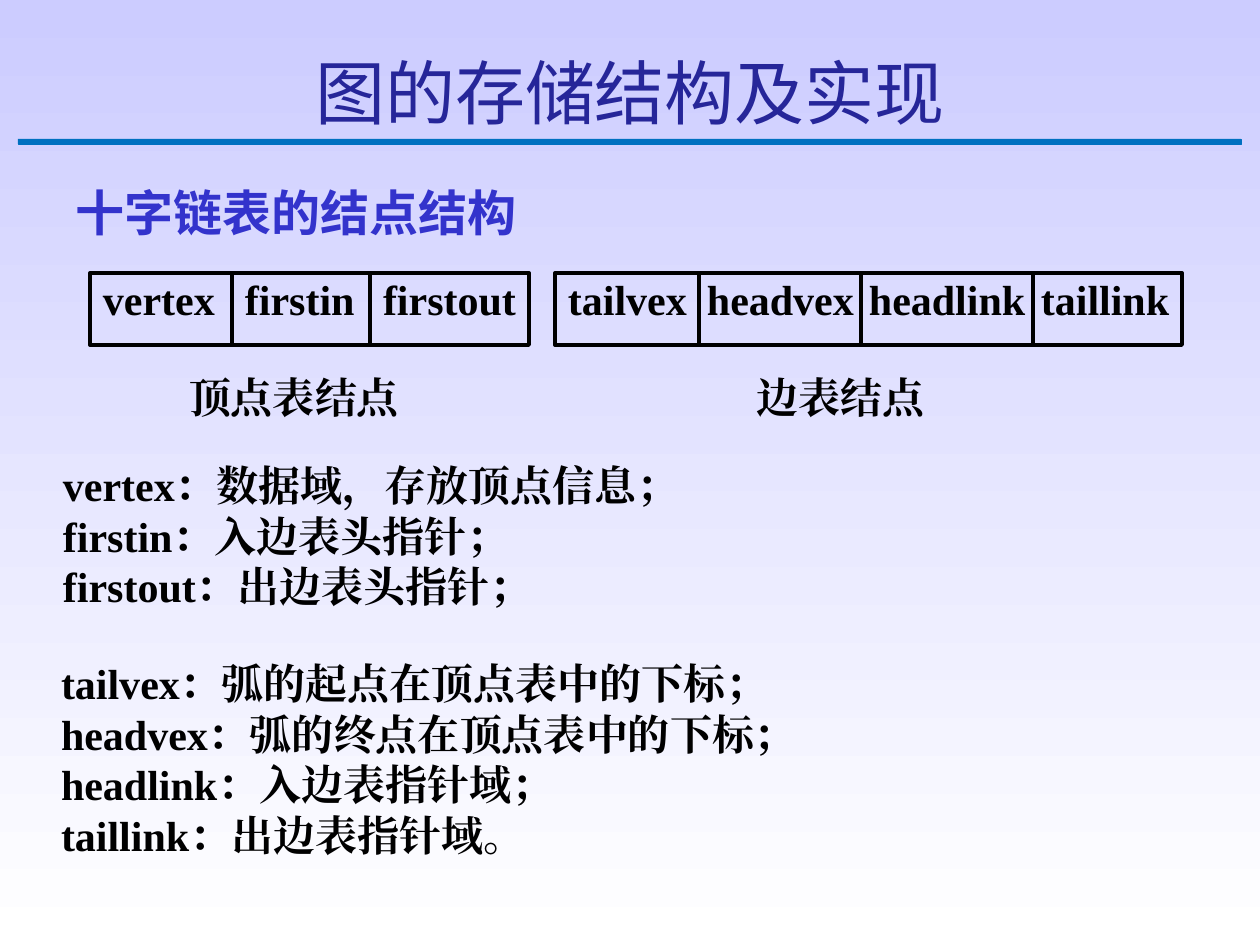
import pptx
import pptx.util
import pptx.dml.color
import pptx.enum.shapes
import pptx.enum.text
import pptx.oxml.ns
import lxml.etree

PX = 914400 // 126
RGBColor = pptx.dml.color.RGBColor
PP_ALIGN = pptx.enum.text.PP_ALIGN
RECTANGLE = pptx.enum.shapes.MSO_SHAPE.RECTANGLE

# Content
TITLE = "图的存储结构及实现"
HEADING = "十字链表的结点结构"
# Each node: left edge, fields with widths and text insets, caption with its left and width
NODES = [
    {"left": 90, "fields": [("vertex", 142, 13), ("firstin", 138, 13), ("firstout", 159, 13)],
     "caption": ("顶点表结点", 189, 256)},
    {"left": 555, "fields": [("tailvex", 144, 13), ("headvex", 162, 8), ("headlink", 172, 8),
                             ("taillink", 149, 8)],
     "caption": ("边表结点", 757, 207)},
]
VERTEX_NOTES = ["vertex：数据域，存放顶点信息；", "firstin：入边表头指针；", "firstout：出边表头指针；"]
EDGE_NOTES = ["tailvex：弧的起点在顶点表中的下标；", "headvex：弧的终点在顶点表中的下标；",
              "headlink：入边表指针域；", "taillink：出边表指针域。"]

# Style
SANS, SERIF = "Noto Sans CJK SC", "Times New Roman"
BLACK = RGBColor(0x00, 0x00, 0x00)
WHITE = RGBColor(0xFF, 0xFF, 0xFF)
LAVENDER = RGBColor(0xCC, 0xCC, 0xFF)
NAVY = RGBColor(0x26, 0x26, 0x99)
BLUE = RGBColor(0x33, 0x33, 0xCC)
RULE_BLUE = RGBColor(0x00, 0x70, 0xC0)
CELL_TOP, CELL_HEIGHT = 273, 72
CAPTION_TOP, CAPTION_HEIGHT = 371, 52


def box(left, top, width, height):
    return [value * PX for value in (left, top, width, height)]


def write(shape, lines, size=24, font=SERIF, color=BLACK, bold=True,
          align=PP_ALIGN.LEFT, insets=(13, 6, 13, 6), wrap=True):
    frame = shape.text_frame
    frame.word_wrap = wrap
    frame.auto_size = pptx.enum.text.MSO_AUTO_SIZE.NONE
    frame.vertical_anchor = pptx.enum.text.MSO_ANCHOR.TOP
    (frame.margin_left, frame.margin_top,
     frame.margin_right, frame.margin_bottom) = [inset * PX for inset in insets]
    for index, line in enumerate(lines):
        paragraph = frame.add_paragraph() if index else frame.paragraphs[0]
        paragraph.alignment = align
        paragraph.space_before = pptx.util.Pt(0)
        run = paragraph.add_run()
        run.text = line
        run.font.size = pptx.util.Pt(size)
        run.font.bold = bold
        run.font.color.rgb = color
        run.font.name = font
        # East Asian characters use the same typeface setting
        east_asian = lxml.etree.SubElement(run.font._element, pptx.oxml.ns.qn("a:ea"))
        east_asian.set("typeface", font)


presentation = pptx.Presentation()
presentation.slide_width, presentation.slide_height = 1260 * PX, 945 * PX
slide = presentation.slides.add_slide(presentation.slide_layouts[5])

# Background gradient, from top to bottom
background = slide.background.fill
background.gradient()
background.gradient_angle = 270
for stop, color, position in zip(background.gradient_stops, (LAVENDER, WHITE), (0, 1)):
    stop.color.rgb = color
    stop.position = position

# Title and the rule below it
title = slide.shapes.title
title.left, title.top, title.width, title.height = box(0, 44, 1260, 97)
write(title, [TITLE], size=40, font=SANS, color=NAVY, bold=False, align=PP_ALIGN.CENTER)
rule = slide.shapes.add_shape(RECTANGLE, *box(18, 139, 1223, 5))
rule.shadow.inherit = False
rule.fill.solid()
rule.fill.fore_color.rgb = RULE_BLUE
rule.line.color.rgb = RULE_BLUE
rule.line.width = pptx.util.Pt(0.25)

heading = slide.shapes.add_textbox(*box(63, 176, 735, 72))
write(heading, [HEADING], size=28, font=SANS, color=BLUE)

# Node structures: adjoining field cells with a caption below
for node in NODES:
    group = slide.shapes.add_group_shape()
    left = node["left"]
    for field, width, inset in node["fields"]:
        cell = group.shapes.add_shape(RECTANGLE, *box(left, CELL_TOP, width, CELL_HEIGHT))
        cell.shadow.inherit = False
        cell.fill.background()
        cell.line.color.rgb = BLACK
        cell.line.width = pptx.util.Pt(2.25)
        write(cell, [field], align=PP_ALIGN.JUSTIFY, insets=(inset, 1, 0, 1), wrap=False)
        left += width
    caption, left, width = node["caption"]
    label = group.shapes.add_textbox(*box(left, CAPTION_TOP, width, CAPTION_HEIGHT))
    write(label, [caption], align=PP_ALIGN.JUSTIFY, insets=(0, 1, 0, 1))

# Field explanations
vertex_notes = slide.shapes.add_textbox(*box(50, 454, 731, 164))
write(vertex_notes, VERTEX_NOTES)
edge_notes = slide.shapes.add_textbox(*box(48, 652, 1155, 214))
write(edge_notes, EDGE_NOTES, align=PP_ALIGN.JUSTIFY)

presentation.save("out.pptx")
